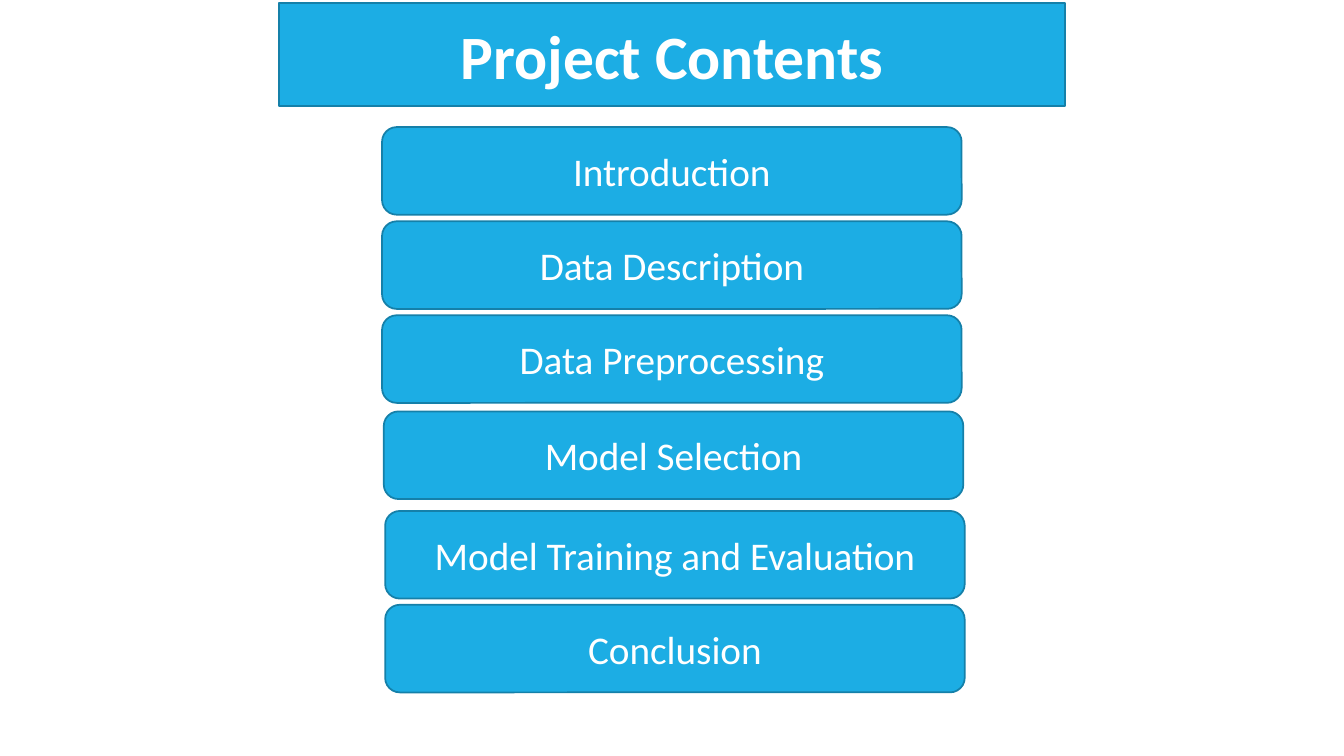
from dataclasses import dataclass

from lxml.etree import SubElement
from pptx import Presentation
from pptx.dml.color import RGBColor
from pptx.enum.shapes import MSO_SHAPE
from pptx.enum.text import MSO_ANCHOR, MSO_AUTO_SIZE, PP_ALIGN
from pptx.oxml.ns import qn
from pptx.util import Pt


@dataclass(frozen=True)
class Theme:
    card: RGBColor = RGBColor(0x1C, 0xAD, 0xE4)
    border: RGBColor = RGBColor(0x15, 0x80, 0xA9)
    text: RGBColor = RGBColor(0xFF, 0xFF, 0xFF)
    font: str = "Calibri"
    title_size: int = 44
    topic_size: int = 28
    border_width: float = 1.25


THEME = Theme()

# Each topic with its shift right and down from the top left of the list
TOPICS = [
    ("Introduction", 0, 0),
    ("Data Description", 0, 67.3),
    ("Data Preprocessing", 0, 134.4),
    ("Model Selection", 1.2, 203.1),
    ("Model Training and Evaluation", 2.2, 274.2),
    ("Conclusion", 2.2, 341.2),
]
TOPIC_HEIGHT = 62.6


def set_all(target, values):
    for name, value in values.items():
        setattr(target, name, value)


def format_card(card, label, size, bold=False):
    card.fill.solid()
    card.fill.fore_color.rgb = THEME.card
    card.line.color.rgb = THEME.border
    card.line.width = Pt(THEME.border_width)

    frame = card.text_frame
    set_all(frame, {
        "text": label,
        "word_wrap": True,
        "auto_size": MSO_AUTO_SIZE.NONE,
        "vertical_anchor": MSO_ANCHOR.MIDDLE,
    })
    paragraph = frame.paragraphs[0]
    paragraph.alignment = PP_ALIGN.CENTER
    font = paragraph.runs[0].font
    set_all(font, {"name": THEME.font, "size": Pt(size), "bold": bold})
    font.color.rgb = THEME.text


def place_title(slide, left, top, width, height):
    """Turn the title placeholder into a rounded banner."""
    title = slide.shapes.title
    set_all(title, {"left": Pt(left), "top": Pt(top),
                    "width": Pt(width), "height": Pt(height)})
    outline = SubElement(title._element.spPr, qn("a:prstGeom"), prst="roundRect")
    SubElement(outline, qn("a:avLst"))
    format_card(title, "Project Contents", THEME.title_size, bold=True)


def place_topics(slide, left, top, width):
    for label, right, down in TOPICS:
        topic = slide.shapes.add_shape(
            MSO_SHAPE.ROUNDED_RECTANGLE, Pt(left + right), Pt(top + down),
            Pt(width), Pt(TOPIC_HEIGHT))
        topic.shadow.inherit = False
        format_card(topic, label, THEME.topic_size)


def main():
    deck = Presentation()
    set_all(deck, {"slide_width": Pt(960), "slide_height": Pt(540)})
    title_only = deck.slide_layouts.get_by_name("Title Only")
    slide = deck.slides.add_slide(title_only)
    place_title(slide, left=199.4, top=2.2, width=561.6, height=73.4)
    place_topics(slide, left=272.9, top=90.8, width=414)
    deck.save("out.pptx")


if __name__ == "__main__":
    main()
